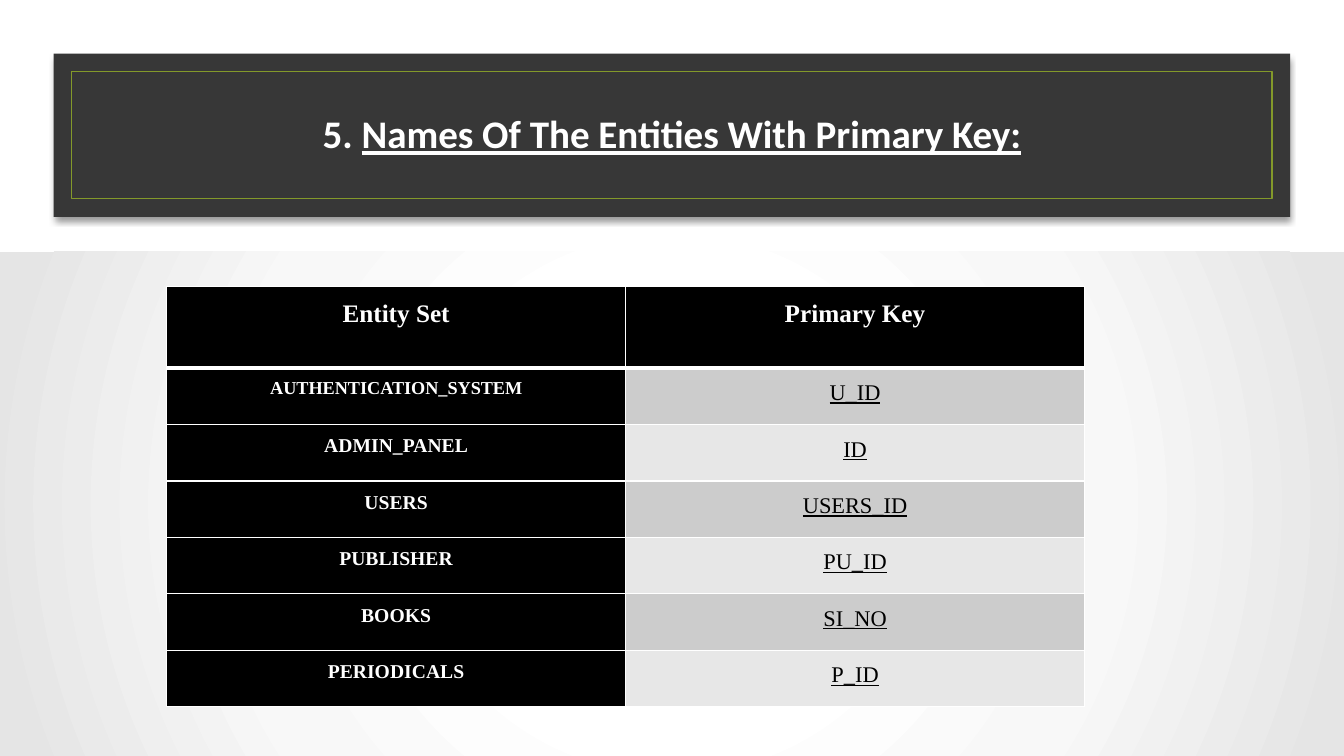
from lxml import etree
from pptx import Presentation
from pptx.dml.color import RGBColor
from pptx.enum.shapes import MSO_SHAPE
from pptx.enum.text import MSO_ANCHOR, PP_ALIGN
from pptx.oxml import parse_xml
from pptx.oxml.ns import nsdecls, qn
from pptx.util import Inches, Pt

RECTANGLE = MSO_SHAPE.RECTANGLE
MIDDLE = MSO_ANCHOR.MIDDLE
CENTER = PP_ALIGN.CENTER

WHITE = RGBColor(0xFF, 0xFF, 0xFF)
BLACK = RGBColor(0x00, 0x00, 0x00)
CHARCOAL = RGBColor(0x37, 0x37, 0x37)
OLIVE = RGBColor(0x83, 0x99, 0x2A)
MIST = RGBColor(0xF8, 0xF8, 0xF8)
SILVER = RGBColor(0xE5, 0xE5, 0xE5)
BAND_DARK = RGBColor(0xCC, 0xCC, 0xCC)
BAND_LIGHT = RGBColor(0xE7, 0xE7, 0xE7)

ENTITIES = [
    ("AUTHENTICATION_SYSTEM", "U_ID"),
    ("ADMIN_PANEL", "ID"),
    ("USERS", "USERS_ID"),
    ("PUBLISHER", "PU_ID"),
    ("BOOKS", "SI_NO"),
    ("PERIODICALS", "P_ID"),
]


class SlideBuilder:
    title_font = "Calibri"
    table_font = "Times New Roman"

    def __init__(self, presentation):
        self.width = presentation.slide_width
        self.height = presentation.slide_height
        self.slide = presentation.slides.add_slide(presentation.slide_layouts[6])

    def place(self, left, top, width, height):
        return (
            int(self.width * left / 100),
            int(self.height * top / 100),
            int(self.width * width / 100),
            int(self.height * height / 100),
        )

    def panel(self, area, fill=None, line=None):
        shape = self.slide.shapes.add_shape(RECTANGLE, *self.place(*area))
        shape.shadow.inherit = False
        if fill is None:
            shape.fill.background()
        else:
            shape.fill.solid()
            shape.fill.fore_color.rgb = fill
        if line is None:
            shape.line.fill.background()
        else:
            shape.line.color.rgb = line
            shape.line.width = Pt(1.25)
        return shape

    def shadowed_panel(self, area, fill):
        shape = self.panel(area, fill)
        effects = shape._element.spPr.find(qn("a:effectLst"))
        shadow = etree.SubElement(
            effects, qn("a:outerShdw"), blurRad=str(Pt(4)), dist=str(Pt(3)),
            dir="5400000", algn="t", rotWithShape="0")
        color = etree.SubElement(shadow, qn("a:srgbClr"), val=str(BLACK))
        etree.SubElement(color, qn("a:alpha"), val="40000")

    def radial_panel(self, area, stops):
        shape = self.panel(area, WHITE)
        properties = shape._element.spPr
        stop_xml = "".join(
            f'<a:gs pos="{share * 1000}"><a:srgbClr val="{color}"/></a:gs>'
            for share, color in stops)
        gradient = parse_xml(
            f'<a:gradFill {nsdecls("a")} rotWithShape="1"><a:gsLst>{stop_xml}</a:gsLst>'
            '<a:path path="circle"><a:fillToRect l="50000" t="50000" r="50000" b="50000"/>'
            '</a:path></a:gradFill>')
        properties.replace(properties.find(qn("a:solidFill")), gradient)

    def title(self, area, number, wording):
        frame = self.slide.shapes.add_textbox(*self.place(*area)).text_frame
        frame.word_wrap = True
        frame.vertical_anchor = MIDDLE
        paragraph = frame.paragraphs[0]
        paragraph.alignment = CENTER
        paragraph.line_spacing = 0.9
        self.set_font(paragraph.font, self.title_font, 27.9, WHITE, bold=True)
        paragraph.add_run().text = number
        run = paragraph.add_run()
        run.text = wording
        run.font.underline = True

    def set_font(self, font, name, size, color, bold=False, underline=False):
        font.name = name
        font.size = Pt(size)
        font.color.rgb = color
        font.bold = bold
        font.underline = underline

    def borders(self, cell, **widths):
        properties = cell._tc.get_or_add_tcPr()
        for side in "LRTB":
            line = etree.SubElement(
                properties, qn(f"a:ln{side}"), w=str(Pt(widths.get(side, 1))))
            fill = etree.SubElement(line, qn("a:solidFill"))
            etree.SubElement(fill, qn("a:srgbClr"), val=str(WHITE))

    def cell(self, cell, text, fill, size, color, bold=False, underline=False, **widths):
        self.borders(cell, **widths)
        cell.fill.solid()
        cell.fill.fore_color.rgb = fill
        cell.margin_left = cell.margin_right = Inches(0.07)
        cell.margin_top = cell.margin_bottom = 0
        cell.text = text
        paragraph = cell.text_frame.paragraphs[0]
        paragraph.alignment = CENTER
        paragraph.line_spacing = 1.5
        self.set_font(paragraph.font, self.table_font, size, color, bold, underline)

    def key_table(self, area, headings, entities):
        table = self.slide.shapes.add_table(
            len(entities) + 1, len(headings), *self.place(*area)).table
        header_height, row_height = Inches(0.81), Inches(0.56)
        for row in table.rows:
            row.height = row_height
        table.rows[0].height = header_height
        for column, heading in enumerate(headings):
            self.cell(table.cell(0, column), heading, BLACK, 18, WHITE, bold=True, B=3)
        for row, (entity, key) in enumerate(entities, 1):
            top = 3 if row == 1 else 1
            size = 13 if row == 1 else 14
            band = BAND_DARK if row % 2 else BAND_LIGHT
            self.cell(table.cell(row, 0), entity, BLACK, size, WHITE, bold=True, T=top)
            self.cell(table.cell(row, 1), key, band, 16, BLACK, underline=True, T=top)


def main():
    presentation = Presentation()
    presentation.slide_width = Inches(13.33)
    presentation.slide_height = Inches(7.5)
    builder = SlideBuilder(presentation)
    builder.shadowed_panel((4, 7.1, 92, 21.6), CHARCOAL)
    builder.title((6.6, 11.6, 86.8, 12.8), "5. ", "Names Of The Entities With Primary Key:")
    builder.panel((5.33, 9.47, 89.33, 16.8), line=OLIVE)
    builder.radial_panel(
        (0, 33.33, 100, 66.67), [(0, WHITE), (30, WHITE), (61, MIST), (97, SILVER)])
    builder.key_table((12.4, 37.9, 68.3, 56), ("Entity Set", "Primary Key"), ENTITIES)
    presentation.save("out.pptx")


if __name__ == "__main__":
    main()
